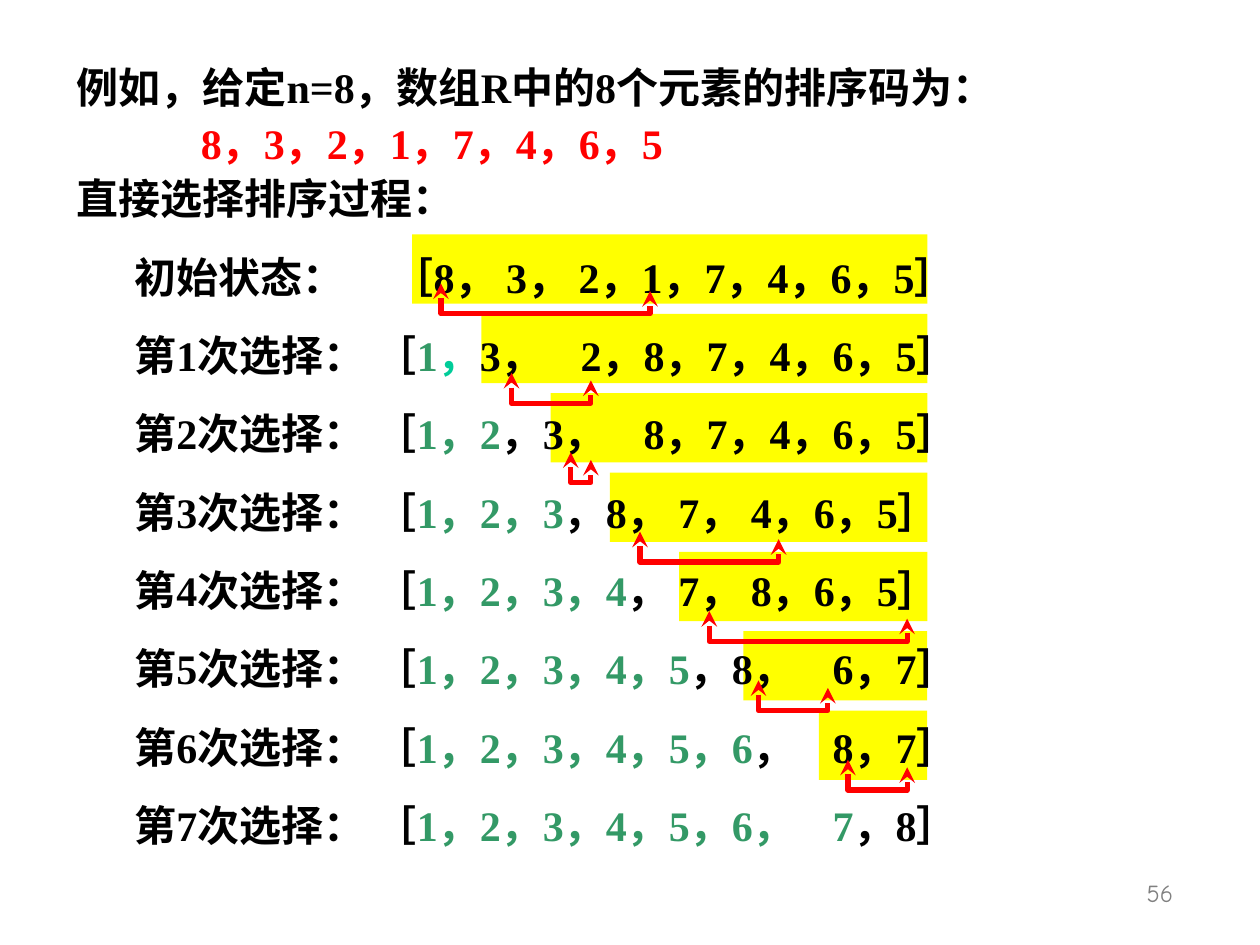
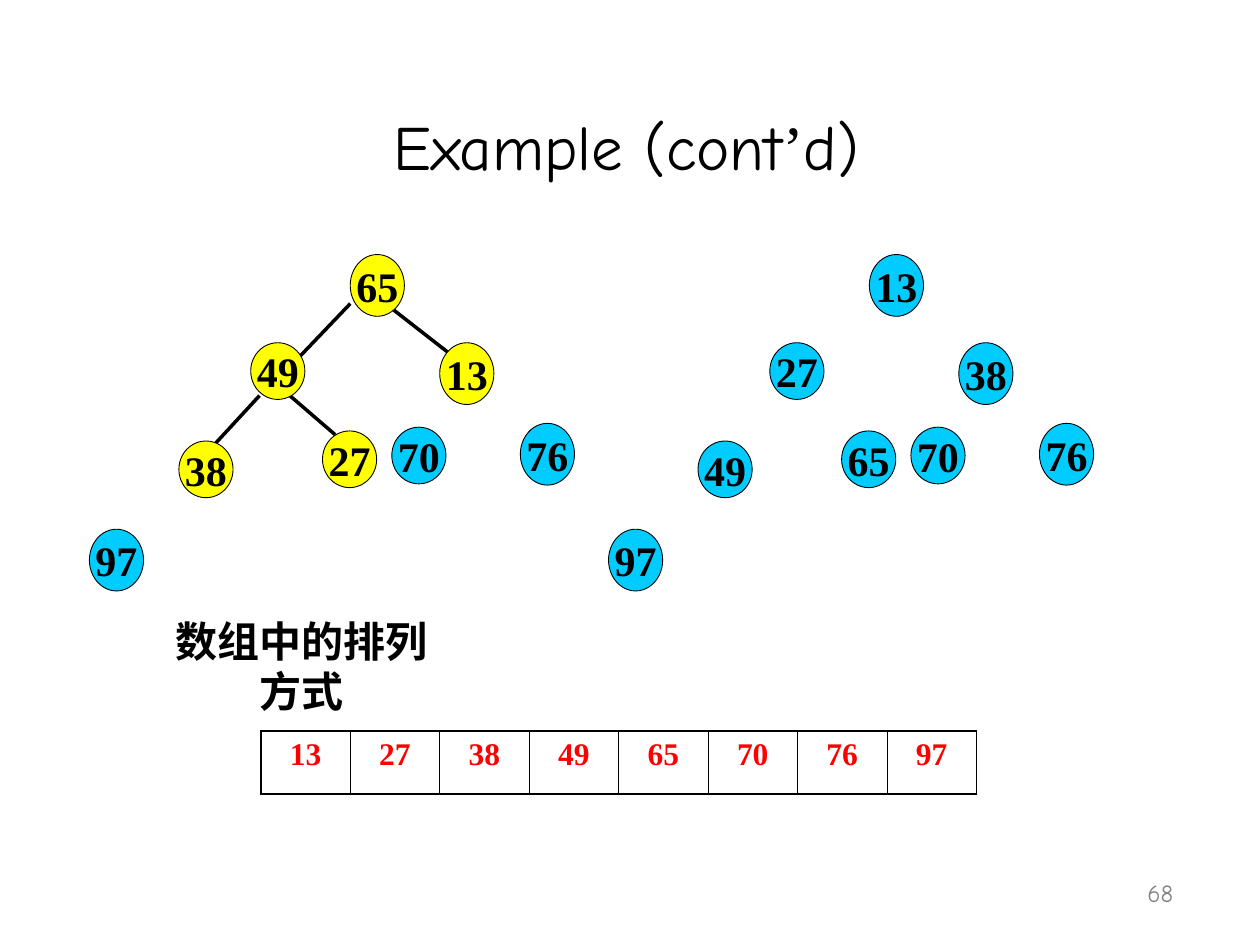
import pptx
import pptx.util
import pptx.dml.color
import pptx.enum.shapes
import pptx.enum.text
import pptx.oxml
import pptx.oxml.ns
import lxml.etree

PX = 9144  # 100 px to the inch
HUES = {"ink": "000000", "red": "FF0000", "sun": "FFFF00", "sky": "00CCFF",
        "green": "339966", "teal": "00CC99", "gray": "808080"}
SERIF, ROUND, SANS = "Times New Roman", "Comic Neue", "Arial"
Pt = pptx.util.Pt
ALIGN = pptx.enum.text.PP_ALIGN
ANCHOR = pptx.enum.text.MSO_ANCHOR
SHAPE = pptx.enum.shapes.MSO_SHAPE


def hue(name):
    return pptx.dml.color.RGBColor.from_string(HUES[name])


def put(par, text, size=24, face=SERIF, color="ink", bold=True):
    """Add one formatted run to a paragraph."""
    run = par.add_run()
    run.text = text
    run.font.size, run.font.name, run.font.bold = Pt(size), face, bold
    run.font.color.rgb = hue(color)


def sub(node, tag, **attrs):
    kid = lxml.etree.SubElement(node, pptx.oxml.ns.qn("a:" + tag))
    for key, value in attrs.items():
        kid.set(key, str(value))
    return kid


class Deck:
    def __init__(self):
        self.file = pptx.Presentation()
        self.file.slide_width, self.file.slide_height = 1000 * PX, 750 * PX
        self.slide = None

    def page(self, number):
        self.slide = self.file.slides.add_slide(self.file.slide_layouts[6])
        foot = self.box(733, 675, 208, 50, ANCHOR.BOTTOM, ALIGN.RIGHT)
        put(foot.paragraphs[0], number, size=14, face=ROUND, color="gray", bold=False)

    def box(self, x, y, w, h, anchor=ANCHOR.TOP, align=ALIGN.LEFT, wrap=True):
        frame = self.slide.shapes.add_textbox(x * PX, y * PX, w * PX, h * PX).text_frame
        frame.word_wrap, frame.vertical_anchor = wrap, anchor
        frame.paragraphs[0].alignment = align
        return frame

    def line(self, frame, indent=0, space=None, tabs=()):
        """Give the next paragraph, with indent and tab stops in points."""
        first = not frame.paragraphs[0].runs
        par = frame.paragraphs[0] if first else frame.add_paragraph()
        props = par._p.get_or_add_pPr()
        props.set("marL", "0")
        props.set("indent", str(Pt(indent)))
        if tabs:
            stops = sub(props, "tabLst")
            for stop in tabs:
                sub(stops, "tab", pos=Pt(stop), algn="l")
        if not first:
            par.space_before = Pt(3)
        if space:
            par.line_spacing = space
        return par

    def shape(self, kind, x, y, w, h, fill, edge=None):
        item = self.slide.shapes.add_shape(kind, x * PX, y * PX, w * PX, h * PX)
        item.shadow.inherit = False
        item.fill.solid()
        item.fill.fore_color.rgb = hue(fill)
        if edge:
            item.line.color.rgb, item.line.width = hue("ink"), Pt(edge)
        else:
            item.line.fill.background()
        return item

    def node(self, x, y, h, text, fill):
        frame = self.shape(SHAPE.OVAL, x, y, 43, h, fill, edge=0.5).text_frame
        frame.word_wrap, frame.vertical_anchor = False, ANCHOR.MIDDLE
        frame.paragraphs[0].alignment = ALIGN.CENTER
        put(frame.paragraphs[0], text)

    def edge(self, x1, y1, x2, y2):
        item = self.slide.shapes.add_connector(
            pptx.enum.shapes.MSO_CONNECTOR.STRAIGHT, x1 * PX, y1 * PX, x2 * PX, y2 * PX)
        item.line.color.rgb, item.line.width = hue("ink"), Pt(2)
        sub(item._element.spPr, "effectLst")

    def swap(self, left, top, right):
        """Draw a bracket with an arrowhead at both ends."""
        path = self.slide.shapes.build_freeform(left, top, scale=PX)
        path.add_line_segments(
            [(left, top + 24), (right, top + 24), (right, top + 6)], close=False)
        item = path.convert_to_shape()
        item.shadow.inherit = False
        item.fill.background()
        item.line.color.rgb, item.line.width = hue("red"), Pt(3)
        for end in ("headEnd", "tailEnd"):
            sub(item.line._get_or_add_ln(), end, type="stealth")

    def table(self, x, y, cell, high, values):
        last = len(values) - 1
        grid = self.slide.shapes.add_table(
            1, len(values), x * PX, y * PX, cell * len(values) * PX, high * PX).table
        grid.first_row = grid.horz_banding = False
        for col, value in enumerate(values):
            grid.columns[col].width = cell * PX
            spot = grid.cell(0, col)
            par = spot.text_frame.paragraphs[0]
            par.alignment = ALIGN.CENTER
            put(par, str(value), size=18, color="red")
            props = spot._tc.get_or_add_tcPr()
            outer = {"lnL": col == 0, "lnR": col == last, "lnT": True, "lnB": True}
            for side, thick in outer.items():
                rule = sub(props, side, w=Pt(1.08 if thick else 0.45))
                sub(sub(rule, "solidFill"), "srgbClr", val=HUES["ink"])
            spot.fill.background()


def sorting(deck):
    deck.page("56")

    # Highlighted part of each row
    for row, left in enumerate((327, 382, 437, 484, 539, 590, 650)):
        deck.shape(SHAPE.RECTANGLE, left, 186 + 63 * row, 736 - left, 55, "sun")

    # Heading lines
    frame = deck.box(51, 44, 925, 636)
    put(deck.line(frame), "例如，给定n=8，数组R中的8个元素的排序码为：")
    put(deck.line(frame, indent=71), "8，3，2，1，7，4，6，5", color="red")
    put(deck.line(frame), "直接选择排序过程：")

    # Start state, then sorted and open part after each pass
    put(deck.line(frame, 33, 1.45, [169]), "初始状态：\t［8， 3， 2，1，7，4，6，5］")
    steps = [("1", "3，\t2，8，7，4，6，5］", 2),
             ("1，2", "，3，\t8，7，4，6，5］", 3),
             ("1，2，3", "，8， 7， 4，6，5］", 0),
             ("1，2，3，4", "， 7， 8，6，5］", 0),
             ("1，2，3，4，5", "，8，\t6，7］", 6),
             ("1，2，3，4，5，6", "，\t8，7］", 6),
             ("1，2，3，4，5，6，\t7", "，8］", 6)]
    for turn, (done, rest, col) in enumerate(steps, 1):
        par = deck.line(frame, 33, 1.45, [222 + 47.5 * col] if col else ())
        put(par, f"第{turn}次选择： ［")
        put(par, done, color="green")
        if turn == 1:
            put(par, "，", color="teal")
        put(par, rest)

    # Swapped pairs
    for left, top, right in ((350, 225, 516), (406, 296, 469), (453, 359, 469),
                             (508, 422, 618), (563, 485, 720), (602, 540, 657),
                             (673, 603, 720)):
        deck.swap(left, top, right)


def heap(deck):
    deck.page("68")

    # Title
    par = deck.box(44, 25, 906, 125, ANCHOR.BOTTOM, ALIGN.CENTER).paragraphs[0]
    for text, face in (("Example (cont", ROUND), ("’", SERIF), ("d)", ROUND)):
        put(par, text, size=36, face=face, bold=False)

    # Tree edges
    for ends in ((356, 280, 306, 241), (278, 241, 235, 286),
                 (206, 314, 170, 353), (230, 314, 266, 345)):
        deck.edge(*ends)

    # Both trees, in heap order
    spots = ((278, 202, 49), (199, 272, 45), (349, 272, 49), (142, 350, 45),
             (256, 342, 45), (311, 339, 45), (413, 336, 49), (71, 420, 49))
    before = (65, 49, 13, 38, 27, 70, 76, 97)
    after = sorted(before)
    for shift, keys, live in ((0, before, 5), (412, after, 0)):
        for rank, ((x, y, h), key) in enumerate(zip(spots, keys)):
            deck.node(x + shift, y, h, str(key), "sun" if rank < live else "sky")

    # Array
    deck.table(207, 580, 71, 50, after)
    label = deck.box(113, 501, 252, 55, ANCHOR.MIDDLE, ALIGN.CENTER, wrap=False)
    put(label.paragraphs[0], "数组中的排列方式", face=SANS)


def main():
    deck = Deck()
    sorting(deck)
    heap(deck)
    deck.file.save("out.pptx")


if __name__ == "__main__":
    main()
